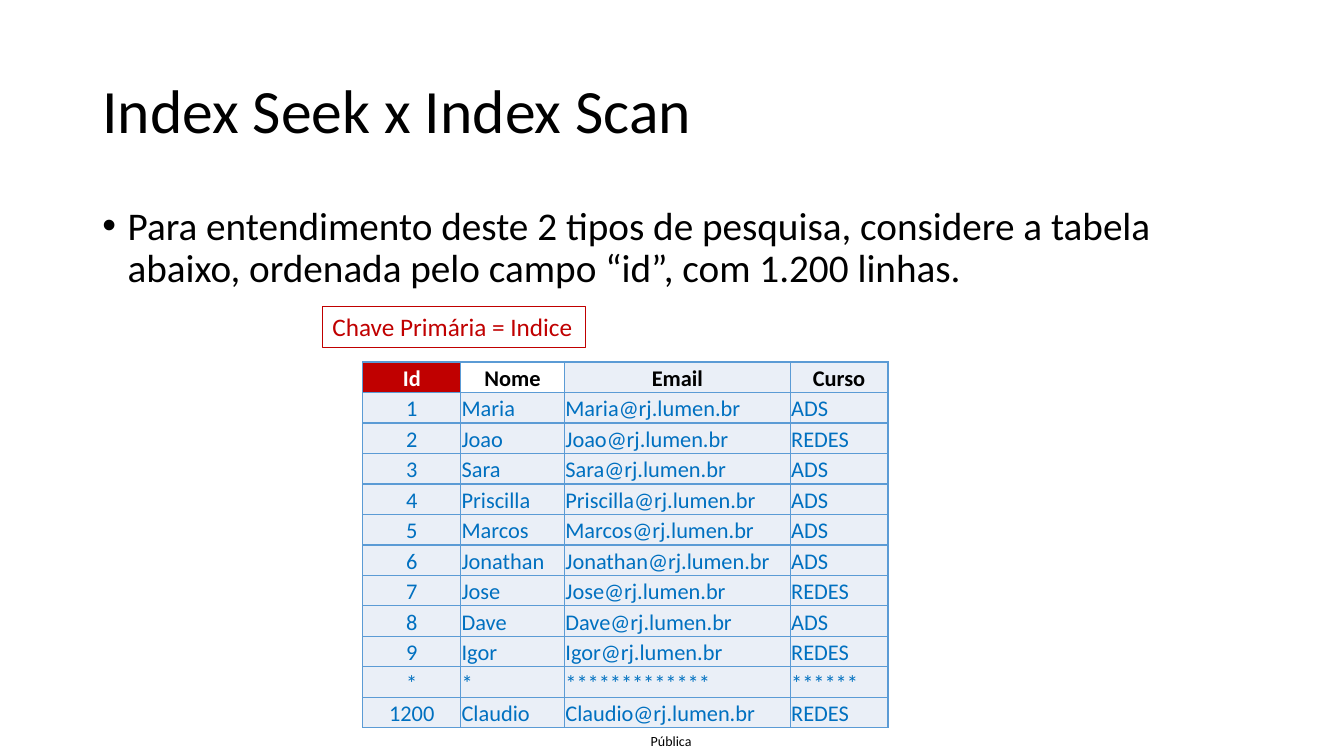
from dataclasses import dataclass

from lxml import etree
from pptx import Presentation
from pptx import util as u
from pptx.dml.color import RGBColor
from pptx.enum import shapes, text
from pptx.oxml import ns

UNIT = 76200
COLS, ROWS = 160, 90


@dataclass(frozen=True)
class Theme:
    font: str = "Calibri"
    black: str = "000000"
    white: str = "FFFFFF"
    red: str = "C00000"
    blue: str = "0070C0"
    border: str = "5B9BD5"
    cell: str = "EAEFF7"
    title: int = 44
    body: int = 28
    label: int = 18
    table: int = 16
    footer: int = 10


@dataclass(frozen=True)
class Box:
    col: float
    row: float
    cols: float
    rows: float

    def emu(self) -> list[int]:
        return [grid(n) for n in (self.col, self.row, self.cols, self.rows)]


@dataclass(frozen=True)
class Student:
    id: str
    name: str
    course: str
    email: str = ""

    def values(self) -> list[str]:
        return [self.id, self.name, self.email or f"{self.name}@rj.lumen.br", self.course]


THEME = Theme()
ALIGN = text.PP_ALIGN
HEADERS = ["Id", "Nome", "Email", "Curso"]
HEADER_FILLS = [THEME.red, None, THEME.cell, THEME.cell]
COLUMN_SPANS = [11.64, 12.36, 26.88, 11.64]
ROW_SPAN = 3.63
STUDENTS = [
    Student("1", "Maria", "ADS"),
    Student("2", "Joao", "REDES"),
    Student("3", "Sara", "ADS"),
    Student("4", "Priscilla", "ADS"),
    Student("5", "Marcos", "ADS"),
    Student("6", "Jonathan", "ADS"),
    Student("7", "Jose", "REDES"),
    Student("8", "Dave", "ADS"),
    Student("9", "Igor", "REDES"),
    Student("*", "*", "******", "*************"),
    Student("1200", "Claudio", "REDES"),
]


def grid(n: float) -> int:
    return round(n * UNIT)


def write(tf, words: str, size: int, color: str, align=ALIGN.LEFT, bold: bool = False):
    tf.text = words
    p = tf.paragraphs[0]
    p.alignment = align
    p.space_before = u.Pt(0)
    f = p.runs[0].font
    f.name, f.size, f.bold = THEME.font, u.Pt(size), bold
    f.color.rgb = RGBColor.from_string(color)
    return p


def fill_placeholder(sp, box: Box, words: str, size: int, anchor):
    sp.left, sp.top, sp.width, sp.height = box.emu()
    p = write(sp.text_frame, words, size, THEME.black)
    p.line_spacing = 0.9
    sp.text_frame.vertical_anchor = anchor
    sp.text_frame.auto_size = text.MSO_AUTO_SIZE.NONE
    return p


def add_bullet(p) -> None:
    pPr = p._p.get_or_add_pPr()
    pPr.set("marL", str(grid(3)))
    pPr.set("indent", str(grid(-3)))
    etree.SubElement(pPr, ns.qn("a:buFont")).set("typeface", "Arial")
    etree.SubElement(pPr, ns.qn("a:buChar")).set("char", "•")


def add_borders(cell) -> None:
    tcPr = cell._tc.get_or_add_tcPr()
    for side in ("lnL", "lnR", "lnT", "lnB"):
        ln = etree.SubElement(tcPr, ns.qn(f"a:{side}"), w=str(u.Pt(1)))
        solid = etree.SubElement(ln, ns.qn("a:solidFill"))
        etree.SubElement(solid, ns.qn("a:srgbClr")).set("val", THEME.border)


def style_cell(cell, words: str, row: int, col: int) -> None:
    header = row == 0
    color = THEME.blue
    if header:
        color = THEME.white if col == 0 else THEME.black
    align = ALIGN.CENTER if header or col == 0 else ALIGN.LEFT
    write(cell.text_frame, words, THEME.table, color, align, header)
    cell.vertical_anchor = text.MSO_ANCHOR.BOTTOM
    margin = u.Inches(0.02 if header else 0.01)
    cell.margin_left = cell.margin_right = cell.margin_top = margin
    cell.margin_bottom = 0
    add_borders(cell)
    fill = HEADER_FILLS[col] if header else THEME.cell
    if fill:
        cell.fill.solid()
        cell.fill.fore_color.rgb = RGBColor.from_string(fill)
    else:
        cell.fill.background()


def add_students(s) -> None:
    data = [HEADERS] + [student.values() for student in STUDENTS]
    box = Box(43.2, 43.1, sum(COLUMN_SPANS), ROW_SPAN * len(data))
    table = s.shapes.add_table(len(data), len(HEADERS), *box.emu()).table
    for column, span in zip(table.columns, COLUMN_SPANS):
        column.width = grid(span)
    for i, values in enumerate(data):
        table.rows[i].height = grid(ROW_SPAN)
        for j, value in enumerate(values):
            style_cell(table.cell(i, j), value, i, j)


def add_key_label(s) -> None:
    box = Box(38.4, 36.5, 31.3, 4.85)
    sp = s.shapes.add_shape(shapes.MSO_SHAPE.RECTANGLE, *box.emu())
    sp.shadow.inherit = False
    sp.fill.background()
    sp.line.color.rgb = RGBColor.from_string(THEME.red)
    sp.line.width = u.Pt(0.75)
    tf = sp.text_frame
    write(tf, "Chave Primária = Indice", THEME.label, THEME.red)
    tf.word_wrap = False
    tf.vertical_anchor = text.MSO_ANCHOR.TOP
    tf.auto_size = text.MSO_AUTO_SIZE.SHAPE_TO_FIT_TEXT


def add_footer(s) -> None:
    tf = s.shapes.add_textbox(*Box(75.7, 86.5, 8.4, 3.5).emu()).text_frame
    write(tf, "Pública", THEME.footer, THEME.black, ALIGN.CENTER)
    tf.word_wrap = True
    tf.vertical_anchor = text.MSO_ANCHOR.MIDDLE
    tf.margin_left = tf.margin_right = tf.margin_top = tf.margin_bottom = 0


def main() -> None:
    prs = Presentation()
    prs.slide_width, prs.slide_height = grid(COLS), grid(ROWS)
    s = prs.slides.add_slide(prs.slide_layouts[1])
    fill_placeholder(s.shapes.title, Box(11, 4.8, 138, 17.4), "Index Seek x Index Scan",
                     THEME.title, text.MSO_ANCHOR.MIDDLE)
    p = fill_placeholder(
        s.placeholders[1], Box(11, 24, 138, 57.1),
        "Para entendimento deste 2 tipos de pesquisa, considere a tabela abaixo, "
        "ordenada pelo campo “id”, com 1.200 linhas.",
        THEME.body, text.MSO_ANCHOR.TOP)
    add_bullet(p)
    add_students(s)
    add_key_label(s)
    add_footer(s)
    prs.save("out.pptx")


if __name__ == "__main__":
    main()
